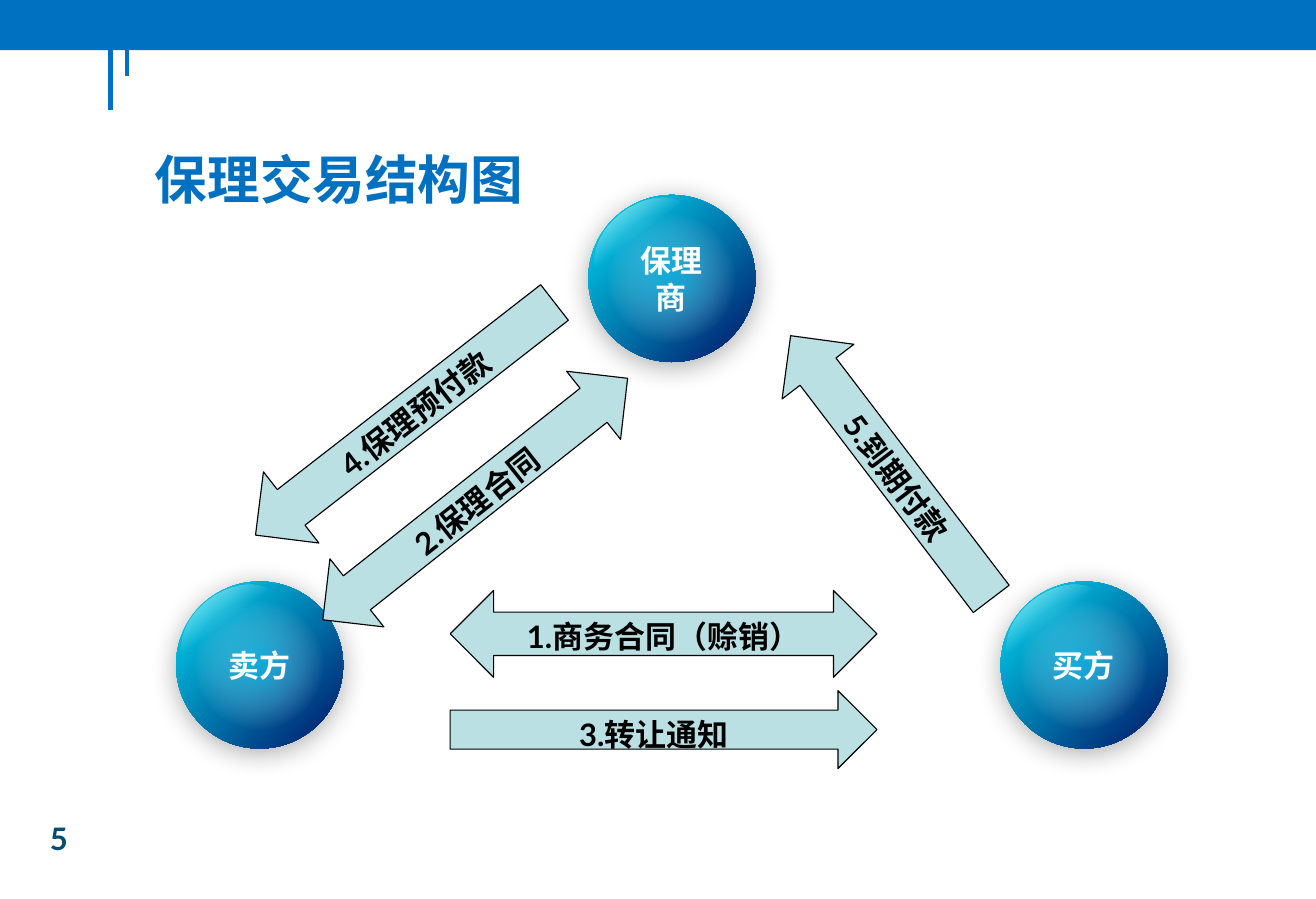
from dataclasses import dataclass

from lxml.etree import SubElement
from pptx import Presentation
from pptx.dml.color import RGBColor
from pptx.enum.shapes import MSO_CONNECTOR, MSO_SHAPE as Preset
from pptx.enum.text import MSO_ANCHOR as Anchor, MSO_AUTO_SIZE as AutoSize, PP_ALIGN as Align
from pptx.oxml import parse_xml
from pptx.oxml.ns import nsdecls, qn
from pptx.util import Inches, Pt

COLORS = {
    "brand": "0070C0",
    "white": "FFFFFF",
    "black": "000000",
    "cyan": "00DFF6",
    "navy": "002774",
    "glow": "2DD7FF",
    "arrow": "BBE0E3",
    "number": "004D6D",
}
SPHERE_SIZE = 1.5
LINEAR = '<a:lin ang="{}" scaled="0"/>'
RADIAL = '<a:path path="circle"><a:fillToRect l="50000" t="50000" r="50000" b="50000"/></a:path>'


@dataclass
class Party:
    name: str
    left: float
    top: float


@dataclass
class Flow:
    label: str
    preset: Preset
    left: float
    top: float
    width: float
    height: float
    rotation: float = 0


@dataclass
class Stop:
    position: int
    color: str
    opacity: int = 100


PARTIES = [
    Party("保理商", 5.28, 1.75),
    Party("卖方", 1.58, 5.22),
    Party("买方", 8.98, 5.22),
]
FLOWS = [
    Flow("1.商务合同（赊销）", Preset.LEFT_RIGHT_ARROW, 4.04, 5.3, 3.83, 0.78),
    Flow("3.转让通知", Preset.RIGHT_ARROW, 4.04, 6.2, 3.83, 0.7),
    Flow("4.保理预付款", Preset.DOWN_ARROW, 3.23, 2.06, 0.81, 3.4, 52.1),
    Flow("2.保理合同", Preset.LEFT_RIGHT_ARROW, 2.52, 4.09, 3.49, 0.78, 321.6),
    Flow("5.到期付款", Preset.DOWN_ARROW, 7.59, 2.71, 0.81, 2.97, 142.7),
]


def rgb(name: str) -> RGBColor:
    return RGBColor.from_string(COLORS[name])


def write(shape, text: str, color: str, size: float = 20, font: str = "Lato",
          align: Align = Align.CENTER, anchor: Anchor = Anchor.TOP) -> None:
    frame = shape.text_frame
    frame.word_wrap = True
    frame.auto_size = AutoSize.NONE
    frame.vertical_anchor = anchor
    paragraph = frame.paragraphs[0]
    paragraph.text = text
    paragraph.alignment = align
    paragraph.font.name = font
    paragraph.font.size = Pt(size)
    paragraph.font.bold = True
    paragraph.font.color.rgb = rgb(color)


def add_shape(shapes, preset: Preset, left: float, top: float, width: float, height: float):
    """Add a preset shape without shadow or outline."""
    shape = shapes.add_shape(preset, Inches(left), Inches(top), Inches(width), Inches(height))
    shape.shadow.inherit = False
    shape.line.fill.background()
    return shape


def fill_gradient(shape, stops: list[Stop], direction: str) -> None:
    stop_xml = "".join(
        f'<a:gs pos="{stop.position * 1000}"><a:srgbClr val="{COLORS[stop.color]}">'
        f'<a:alpha val="{stop.opacity * 1000}"/></a:srgbClr></a:gs>'
        for stop in stops
    )
    gradient = parse_xml(
        f'<a:gradFill {nsdecls("a")} rotWithShape="1"><a:gsLst>{stop_xml}</a:gsLst>'
        f"{direction}</a:gradFill>"
    )
    shape._element.spPr.find(qn("a:prstGeom")).addnext(gradient)


def add_soft_shadow(shape) -> None:
    effects = shape._element.spPr.find(qn("a:effectLst"))
    shadow = SubElement(effects, qn("a:outerShdw"), blurRad=str(Pt(17.8)), dist=str(Pt(3)),
                        dir=str(87 * 60000), algn="ctr", rotWithShape="0")
    color = SubElement(shadow, qn("a:srgbClr"), val=COLORS["black"])
    SubElement(color, qn("a:alpha"), val="33000")


def add_party(slide, party: Party) -> None:
    """Draw a glossy sphere: shaded base, highlight, and labelled inner glow."""
    shapes = slide.shapes.add_group_shape().shapes
    base = add_shape(shapes, Preset.OVAL, party.left, party.top, SPHERE_SIZE, SPHERE_SIZE)
    fill_gradient(base, [Stop(0, "cyan"), Stop(90, "navy")], LINEAR.format(45 * 60000))
    add_soft_shadow(base)
    highlight = add_shape(shapes, Preset.OVAL, party.left, party.top + 0.09, 1.01, 0.69)
    highlight.rotation = 323.1
    fill_gradient(highlight, [Stop(0, "white"), Stop(45, "white", 0)], LINEAR.format(90 * 60000))
    glow = add_shape(shapes, Preset.OVAL, party.left + 0.16, party.top + 0.16, 1.17, 1.18)
    fill_gradient(glow, [Stop(10, "glow", 50), Stop(70, "white", 0)], RADIAL)
    write(glow, party.name, "white", anchor=Anchor.MIDDLE)


def add_flow(slide, flow: Flow) -> None:
    arrow = add_shape(slide.shapes, flow.preset, flow.left, flow.top, flow.width, flow.height)
    arrow.rotation = flow.rotation
    arrow.fill.solid()
    arrow.fill.fore_color.rgb = rgb("arrow")
    arrow.line.color.rgb = rgb("black")
    arrow.line.width = Pt(0.75)
    write(arrow, flow.label, "black")
    if flow.preset == Preset.DOWN_ARROW:
        arrow.text_frame._txBody.bodyPr.set("vert", "vert270")


def add_header_line(slide, x: float, bottom: float) -> None:
    line = slide.shapes.add_connector(
        MSO_CONNECTOR.STRAIGHT, Inches(x), Inches(0.05), Inches(x), Inches(bottom))
    line.line.color.rgb = rgb("brand")
    line.line.width = Pt(3)
    SubElement(line._element.spPr, qn("a:effectLst"))


def main() -> None:
    presentation = Presentation()
    presentation.slide_width = Inches(11.81)
    presentation.slide_height = Inches(8.07)
    slide = presentation.slides.add_slide(presentation.slide_layouts[5])

    add_header_line(slide, 0.99, 0.99)
    add_header_line(slide, 1.14, 0.68)
    title = slide.shapes.title
    title.left, title.top = Inches(1.29), Inches(1.27)
    title.width, title.height = Inches(9.77), Inches(0.8)
    write(title, "保理交易结构图", "brand", 34, "Noto Sans CJK SC", Align.LEFT)
    header = add_shape(slide.shapes, Preset.RECTANGLE, 0, 0, 11.81, 0.45)
    header.fill.solid()
    header.fill.fore_color.rgb = rgb("brand")

    for party in PARTIES:
        add_party(slide, party)
    for flow in FLOWS:
        add_flow(slide, flow)

    number = slide.shapes.add_textbox(Inches(0.35), Inches(7.31), Inches(0.47), Inches(0.44))
    write(number, "5", "number", align=Align.LEFT)
    presentation.save("out.pptx")


if __name__ == "__main__":
    main()
